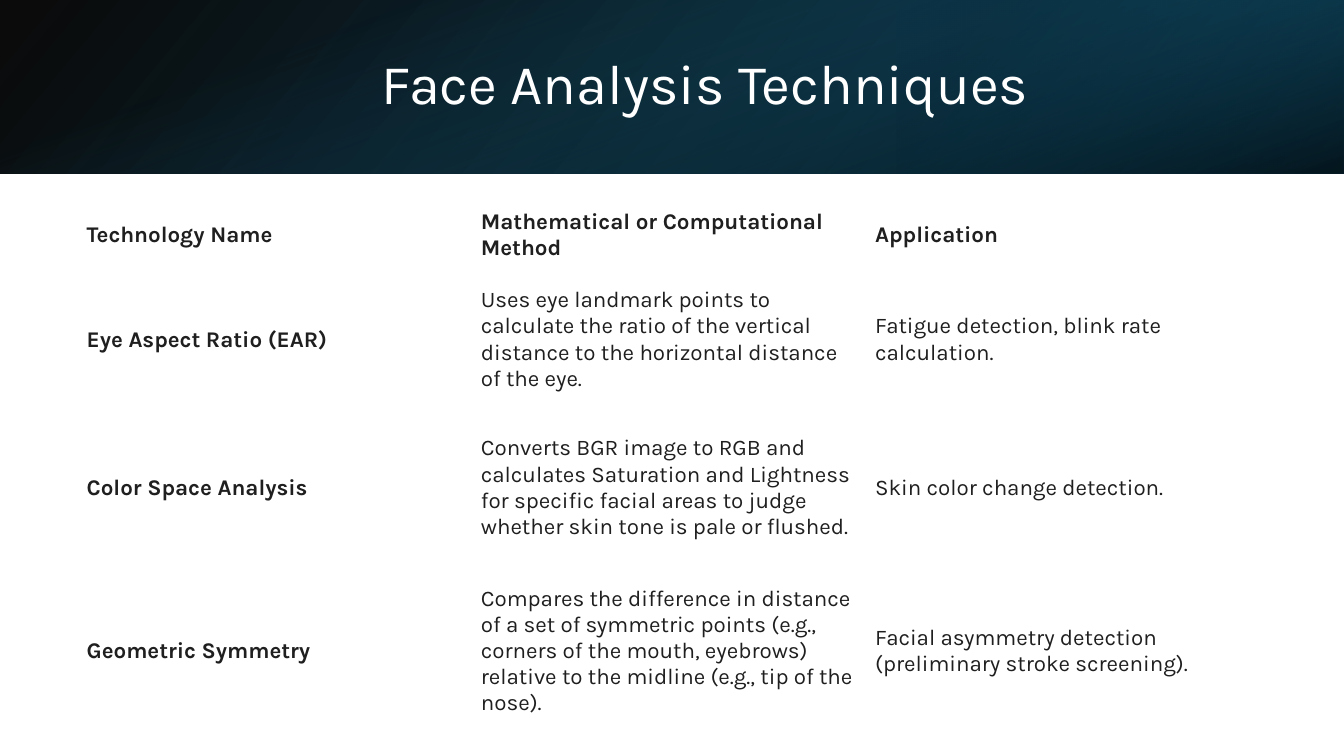
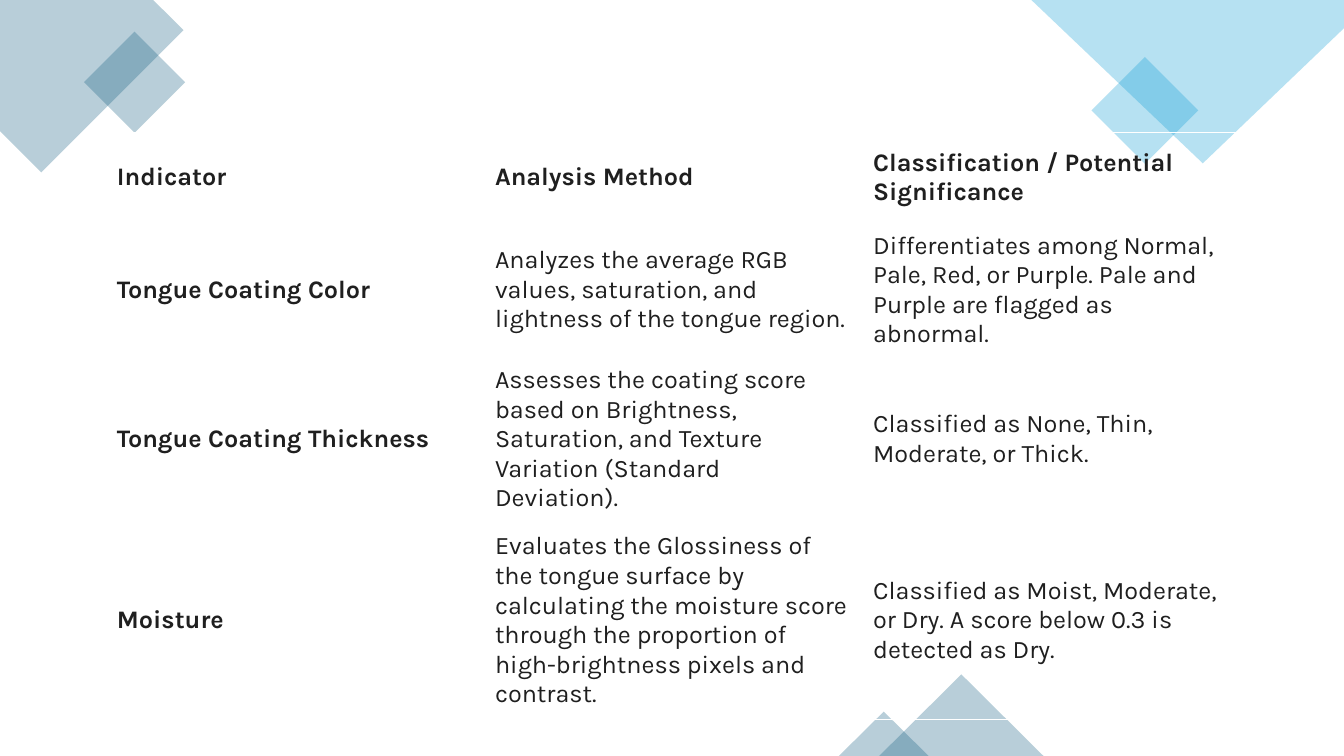
"""Build two slides of analysis tables under a gradient banner and corner diamonds."""
from dataclasses import dataclass

from lxml import etree
from pptx import Presentation
from pptx.dml.color import RGBColor
from pptx.enum.shapes import MSO_SHAPE
from pptx.enum.text import MSO_ANCHOR, MSO_AUTO_SIZE, PP_ALIGN
from pptx.oxml.ns import qn
from pptx.shapes.autoshape import Shape
from pptx.slide import Slide
from pptx.text.text import TextFrame
from pptx.util import Pt

RECTANGLE = MSO_SHAPE.RECTANGLE
TRIANGLE = MSO_SHAPE.ISOSCELES_TRIANGLE
MIDDLE = MSO_ANCHOR.MIDDLE
NO_AUTOFIT = MSO_AUTO_SIZE.NONE
LEFT = PP_ALIGN.LEFT
CENTER = PP_ALIGN.CENTER

PX = 9144
SLIDE_WIDTH, SLIDE_HEIGHT = 1333, 750
BANNER_HEIGHT = 172
TITLE_ONLY, BLANK = 5, 6
FONT = "Karla"
BORDER_WIDTH = Pt(0.75)
ACCENT_OPACITY = 30
COLORS = {
    "white": "FFFFFF",
    "ink": "1F1F1F",
    "black": "000000",
    "navy": "104862",
    "deep": "0B3041",
    "teal": "156082",
    "sky": "0F9ED5",
}


@dataclass(frozen=True)
class Stop:
    """One gradient stop, with position and opacity in percent."""
    position: int
    color: str
    opacity: int


@dataclass(frozen=True)
class Glow:
    """One gradient layer of the banner, its angle measured clockwise."""
    left: int
    width: int
    angle: int
    stops: tuple[Stop, Stop]


@dataclass(frozen=True)
class Accent:
    """One translucent preset shape."""
    kind: int
    left: int
    top: int
    width: int
    height: int
    color: str
    rotation: int = 0


@dataclass(frozen=True)
class Corner:
    """One translucent polygon cut off by the slide edge."""
    color: str
    points: tuple[tuple[int, int], ...]


@dataclass(frozen=True)
class Grid:
    """One table with equal columns."""
    left: int
    top: int
    column_width: int
    row_heights: tuple[int, ...]
    inset_x: int
    inset_y: int
    text_size: int
    rows: tuple[tuple[str, ...], ...]


GLOWS = (
    Glow(0, SLIDE_WIDTH, 40, (Stop(0, "black", 96), Stop(100, "navy", 100))),
    Glow(889, 444, 40, (Stop(19, "deep", 68), Stop(100, "teal", 79))),
    Glow(0, SLIDE_WIDTH, 70, (Stop(23, "teal", 0), Stop(99, "black", 74))),
)

CORNERS = (
    Corner("teal", ((0, 0), (152, 0), (182, 30), (41, 171), (0, 130))),
    Corner("sky", ((1023, 0), (1333, 0), (1333, 28), (1193, 162))),
)

ACCENTS = (
    Accent(RECTANGLE, 98, 46, 71, 71, "teal", 315),
    Accent(RECTANGLE, 1098, 72, 75, 75, "sky", 315),
    Accent(TRIANGLE, 872, 669, 163, 81, "teal"),
    Accent(TRIANGLE, 832, 706, 89, 44, "teal"),
)

FACE_GRID = Grid(75, 195, 391, (76, 132, 162, 162), 11, 7, 16, (
    ("Technology Name", "Mathematical or Computational Method", "Application"),
    ("Eye Aspect Ratio (EAR)",
     "Uses eye landmark points to calculate the ratio of the vertical distance "
     "to the horizontal distance of the eye.",
     "Fatigue detection, blink rate calculation."),
    ("Color Space Analysis",
     "Converts BGR image to RGB and calculates Saturation and Lightness for "
     "specific facial areas to judge whether skin tone is pale or flushed.",
     "Skin color change detection."),
    ("Geometric Symmetry",
     "Compares the difference in distance of a set of symmetric points (e.g., "
     "corners of the mouth, eyebrows) relative to the midline (e.g., tip of the nose).",
     "Facial asymmetry detection (preliminary stroke screening)."),
))

TONGUE_GRID = Grid(104, 131, 375, (90, 126, 161, 197), 12, 8, 18, (
    ("Indicator", "Analysis Method", "Classification / Potential Significance"),
    ("Tongue Coating Color",
     "Analyzes the average RGB values, saturation, and lightness of the tongue region.",
     "Differentiates among Normal, Pale, Red, or Purple. Pale and Purple are "
     "flagged as abnormal."),
    ("Tongue Coating Thickness",
     "Assesses the coating score based on Brightness, Saturation, and Texture "
     "Variation (Standard Deviation).",
     "Classified as None, Thin, Moderate, or Thick."),
    ("Moisture",
     "Evaluates the Glossiness of the tongue surface by calculating the moisture "
     "score through the proportion of high-brightness pixels and contrast.",
     "Classified as Moist, Moderate, or Dry. A score below 0.3 is detected as Dry."),
))


def px(*lengths: int) -> list[int]:
    """Turn px lengths into EMU."""
    return [length * PX for length in lengths]


def rgb(name: str) -> RGBColor:
    """Look up a named colour."""
    return RGBColor.from_string(COLORS[name])


def write_text(frame: TextFrame, text: str, *, size: int, color: str = "ink",
               bold: bool = False, align: PP_ALIGN = LEFT, spacing: float = 1.0) -> None:
    """Write one formatted paragraph into a text frame."""
    frame.word_wrap = True
    paragraph = frame.paragraphs[0]
    paragraph.alignment = align
    paragraph.line_spacing = spacing
    run = paragraph.add_run()
    run.text = text
    run.font.name = FONT
    run.font.size = Pt(size)
    run.font.bold = bold
    run.font.color.rgb = rgb(color)


def set_opacity(shape: Shape, *percents: int) -> None:
    """Give the fill colours of a shape their opacities, in order."""
    for color, percent in zip(shape.element.spPr.iter(qn("a:srgbClr")), percents):
        etree.SubElement(color, qn("a:alpha"), val=str(percent * 1000))


def make_plain(shape: Shape) -> None:
    """Remove the shadow and outline of a shape."""
    shape.shadow.inherit = False
    shape.line.fill.background()


def tint(shape: Shape, color: str) -> None:
    """Fill a decoration with a translucent colour."""
    make_plain(shape)
    shape.fill.solid()
    shape.fill.fore_color.rgb = rgb(color)
    set_opacity(shape, ACCENT_OPACITY)


def draw_banner(slide: Slide, title: str) -> None:
    """Draw the gradient banner with the title on top of it."""
    for glow in GLOWS:
        layer = slide.shapes.add_shape(RECTANGLE, *px(glow.left, 0, glow.width, BANNER_HEIGHT))
        make_plain(layer)
        layer.fill.gradient()
        layer.fill.gradient_angle = 360 - glow.angle
        for target, stop in zip(layer.fill.gradient_stops, glow.stops):
            target.position = stop.position / 100
            target.color.rgb = rgb(stop.color)
        set_opacity(layer, *(stop.opacity for stop in glow.stops))
    heading = slide.shapes.title
    heading.left, heading.top, heading.width, heading.height = px(150, 38, 1098, 96)
    heading.text_frame.vertical_anchor = MIDDLE
    heading.text_frame.auto_size = NO_AUTOFIT
    write_text(heading.text_frame, title, size=40, color="white", align=CENTER, spacing=0.9)
    heading.element.getparent().append(heading.element)


def draw_decorations(slide: Slide) -> None:
    """Draw the translucent polygons, diamonds and triangles at the edges."""
    for corner in CORNERS:
        builder = slide.shapes.build_freeform(*corner.points[0], scale=PX)
        builder.add_line_segments(corner.points[1:], close=True)
        tint(builder.convert_to_shape(), corner.color)
    for accent in ACCENTS:
        shape = slide.shapes.add_shape(
            accent.kind, *px(accent.left, accent.top, accent.width, accent.height))
        shape.rotation = accent.rotation
        tint(shape, accent.color)


def add_borders(cell_properties: etree.ElementBase) -> None:
    """Put a thin white line on all four sides of a table cell."""
    for index, side in enumerate(("a:lnL", "a:lnR", "a:lnT", "a:lnB")):
        line = etree.Element(qn(side), w=str(BORDER_WIDTH))
        fill = etree.SubElement(line, qn("a:solidFill"))
        etree.SubElement(fill, qn("a:srgbClr"), val=COLORS["white"])
        cell_properties.insert(index, line)


def draw_grid(slide: Slide, grid: Grid) -> None:
    """Draw a table whose first row and first column are bold."""
    columns = len(grid.rows[0])
    holder = slide.shapes.add_table(
        len(grid.rows), columns,
        *px(grid.left, grid.top, grid.column_width * columns, sum(grid.row_heights)))
    table = holder.table
    table.first_row = table.horz_banding = False
    for column in table.columns:
        column.width = grid.column_width * PX
    for r, (height, texts) in enumerate(zip(grid.row_heights, grid.rows)):
        table.rows[r].height = height * PX
        for c, text in enumerate(texts):
            cell = table.cell(r, c)
            cell.fill.background()
            cell.vertical_anchor = MIDDLE
            cell.margin_left = cell.margin_right = grid.inset_x * PX
            cell.margin_top = cell.margin_bottom = grid.inset_y * PX
            write_text(cell.text_frame, text, size=grid.text_size, bold=r == 0 or c == 0)
    for cell_properties in list(holder.element.iter(qn("a:tcPr"))):
        add_borders(cell_properties)


def main() -> None:
    """Build and save the presentation."""
    deck = Presentation()
    deck.slide_width, deck.slide_height = px(SLIDE_WIDTH, SLIDE_HEIGHT)

    face_slide = deck.slides.add_slide(deck.slide_layouts[TITLE_ONLY])
    draw_banner(face_slide, "Face Analysis Techniques")
    draw_grid(face_slide, FACE_GRID)

    tongue_slide = deck.slides.add_slide(deck.slide_layouts[BLANK])
    draw_decorations(tongue_slide)
    draw_grid(tongue_slide, TONGUE_GRID)

    deck.save("out.pptx")


if __name__ == "__main__":
    main()
